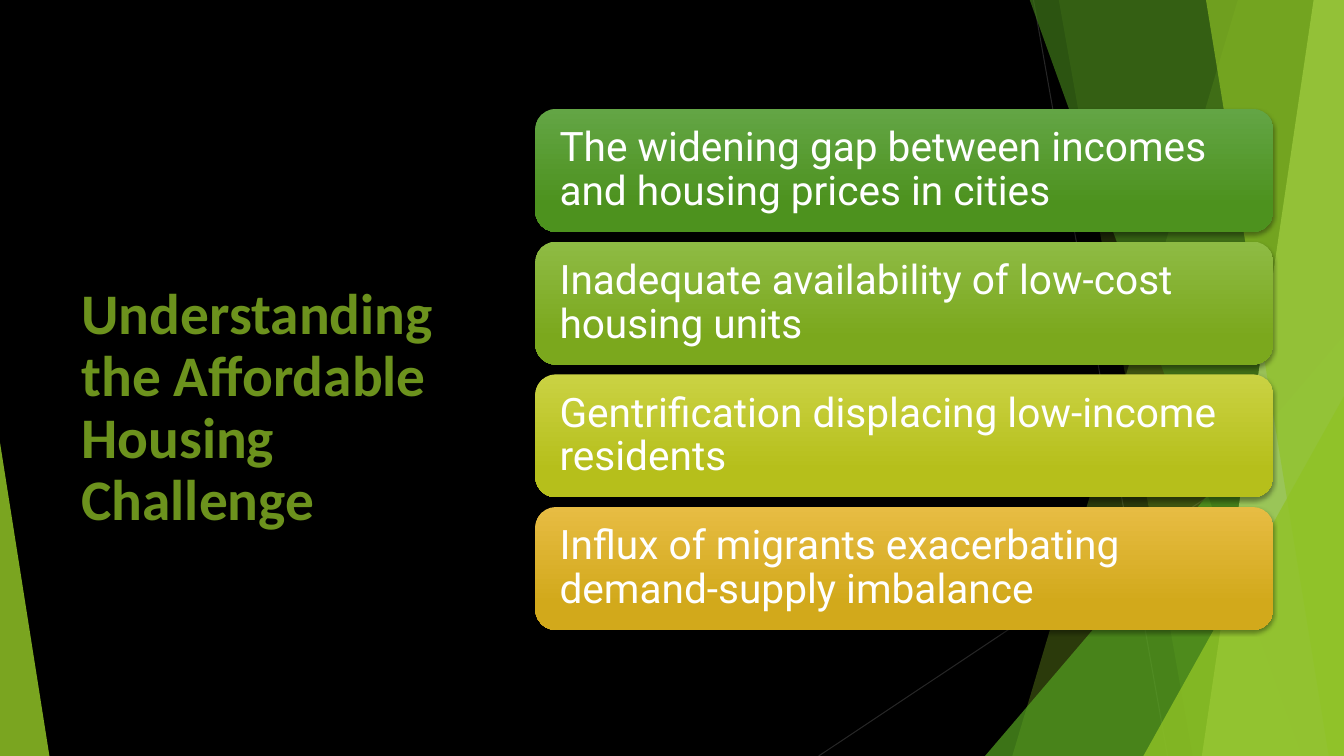
from lxml.etree import SubElement
from pptx import Presentation
from pptx.dml.color import RGBColor
from pptx.enum.shapes import MSO_CONNECTOR as CONN, MSO_SHAPE as SHAPE
from pptx.enum.text import MSO_ANCHOR as ANCHOR, PP_ALIGN as ALIGN
from pptx.oxml.ns import qn
from pptx.util import Inches, Pt

COLORS = {
    "black": "000000", "white": "FFFFFF", "hairline": "262626", "title": "6C921D",
    "lime": "90C226", "green": "54A021", "forest": "3F7819", "pale": "C0E474",
}
CARDS = [
    ("The widening gap between incomes and housing prices in cities", "63A545", "4D921E"),
    ("Inadequate availability of low-cost housing units", "8EBB44", "7BA81D"),
    ("Gentrification displacing low-income residents", "CAD243", "B6BF1B"),
    ("Influx of migrants exacerbating demand-supply imbalance", "E7BC43", "D2A91B"),
]
WIDTH, HEIGHT = 13.33, 7.5


def rgb(name):
    """Return the colour for a palette name or a hex string."""
    return RGBColor.from_string(COLORS.get(name, name))


def apply(target, values):
    """Set each named attribute on the target."""
    for name, value in values.items():
        setattr(target, name, value)


def add_alpha(color, percent):
    """Append an opacity to a colour element."""
    SubElement(color, qn("a:alpha"), val=str(percent * 1000))


def finish_facet(sp, color, opacity):
    """Give a background facet a flat translucent fill."""
    sp.shadow.inherit = False
    sp.line.fill.background()
    sp.fill.solid()
    sp.fill.fore_color.rgb = rgb(color)
    add_alpha(sp._element.spPr.find(qn("a:solidFill"))[0], opacity)


def add_band(s, top_x, bottom_x, color, opacity):
    """Draw a slanted band that reaches the right edge of the slide."""
    top = -0.01
    points = [(WIDTH, top), (WIDTH, HEIGHT), (bottom_x, HEIGHT)]
    fb = s.shapes.build_freeform(Inches(top_x), Inches(top))
    fb.add_line_segments([(Inches(x), Inches(y)) for x, y in points])
    finish_facet(fb.convert_to_shape(), color, opacity)


def add_triangle(s, left, top, width, apex, color, opacity):
    """Draw a triangle that stands on the bottom edge of the slide."""
    box = [Inches(v) for v in (left, top, width, HEIGHT - top)]
    sp = s.shapes.add_shape(SHAPE.ISOSCELES_TRIANGLE, *box)
    sp.adjustments[0] = apex
    finish_facet(sp, color, opacity)


def add_hairline(s, *ends):
    """Draw a thin straight line."""
    line = s.shapes.add_connector(CONN.STRAIGHT, *[Inches(v) for v in ends])
    apply(line.line, {"width": Pt(0.75)})
    line.line.color.rgb = rgb("hairline")
    SubElement(line._element.spPr, qn("a:effectLst"))


def add_backdrop(s):
    """Paint the dark background and its green facets."""
    s.background.fill.solid()
    s.background.fill.fore_color.rgb = rgb("black")
    add_hairline(s, 10.25, 0, 11.58, HEIGHT)
    add_hairline(s, WIDTH, 4.03, 8.12, HEIGHT)
    add_band(s, 12.28, 10.04, "lime", 30)
    add_band(s, 10.5, 11.83, "lime", 20)
    add_triangle(s, 9.77, 3.33, 3.56, 1, "green", 72)
    add_band(s, 10.21, 12.91, "forest", 70)
    add_band(s, 13.03, 11.92, "pale", 70)
    add_band(s, 11.96, 13.18, "lime", 65)
    add_triangle(s, 11.34, 3.93, 1.99, 1, "lime", 80)
    add_triangle(s, 0, 4.39, 0.49, 0, "lime", 85)


def write_text(sp, text, frame, font, color):
    """Fill a shape with one left-aligned paragraph."""
    tf = sp.text_frame
    apply(tf, {"word_wrap": True, "vertical_anchor": ANCHOR.MIDDLE, **frame})
    p = tf.paragraphs[0]
    apply(p, {"alignment": ALIGN.LEFT, "line_spacing": 0.9})
    r = p.add_run()
    r.text = text
    apply(r.font, font)
    r.font.color.rgb = rgb(color)


def add_title(s, left, top, width, height):
    """Place the heading, set slightly below the middle of its box."""
    sp = s.shapes.add_textbox(*[Inches(v) for v in (left, top, width, height)])
    write_text(sp, "Understanding the Affordable Housing Challenge",
               {"margin_top": Inches(0.67)},
               {"name": "Calibri", "size": Pt(41), "bold": True}, "title")


def add_card(s, left, top, width, height, text, light, dark):
    """Draw one rounded gradient card with its statement."""
    box = [Inches(v) for v in (left, top, width, height)]
    sp = s.shapes.add_shape(SHAPE.ROUNDED_RECTANGLE, *box)
    sp.line.fill.background()
    sp.fill.gradient()
    sp.fill.gradient_angle = 270
    for stop, color, position in zip(sp.fill.gradient_stops, (light, dark), (0, 0.78)):
        stop.color.rgb = rgb(color)
        stop.position = position
    sp.shadow.inherit = False
    shadow = SubElement(sp._element.spPr.find(qn("a:effectLst")), qn("a:outerShdw"),
                        blurRad=str(Pt(3)), dist=str(Pt(2)), dir="5400000", rotWithShape="0")
    add_alpha(SubElement(shadow, qn("a:srgbClr"), val=COLORS["black"]), 35)
    write_text(sp, text, {"margin_left": Inches(0.18), "margin_right": Inches(0.18)},
               {"name": "Roboto", "size": Pt(29)}, "white")


def add_cards(s, left, top, width, height):
    """Stack the cards evenly in the given box."""
    card_height = 1.22
    pitch = (height - card_height) / (len(CARDS) - 1)
    for i, card in enumerate(CARDS):
        add_card(s, left, top + i * pitch, width, card_height, *card)


def main():
    """Build the slide and save it."""
    prs = Presentation()
    apply(prs, {"slide_width": Inches(WIDTH), "slide_height": Inches(HEIGHT)})
    s = prs.slides.add_slide(prs.slide_layouts[6])
    add_backdrop(s)
    add_title(s, 0.71, 1.51, 3.88, 4.48)
    add_cards(s, 5.31, 1.08, 7.32, 5.17)
    prs.save("out.pptx")


if __name__ == "__main__":
    main()
